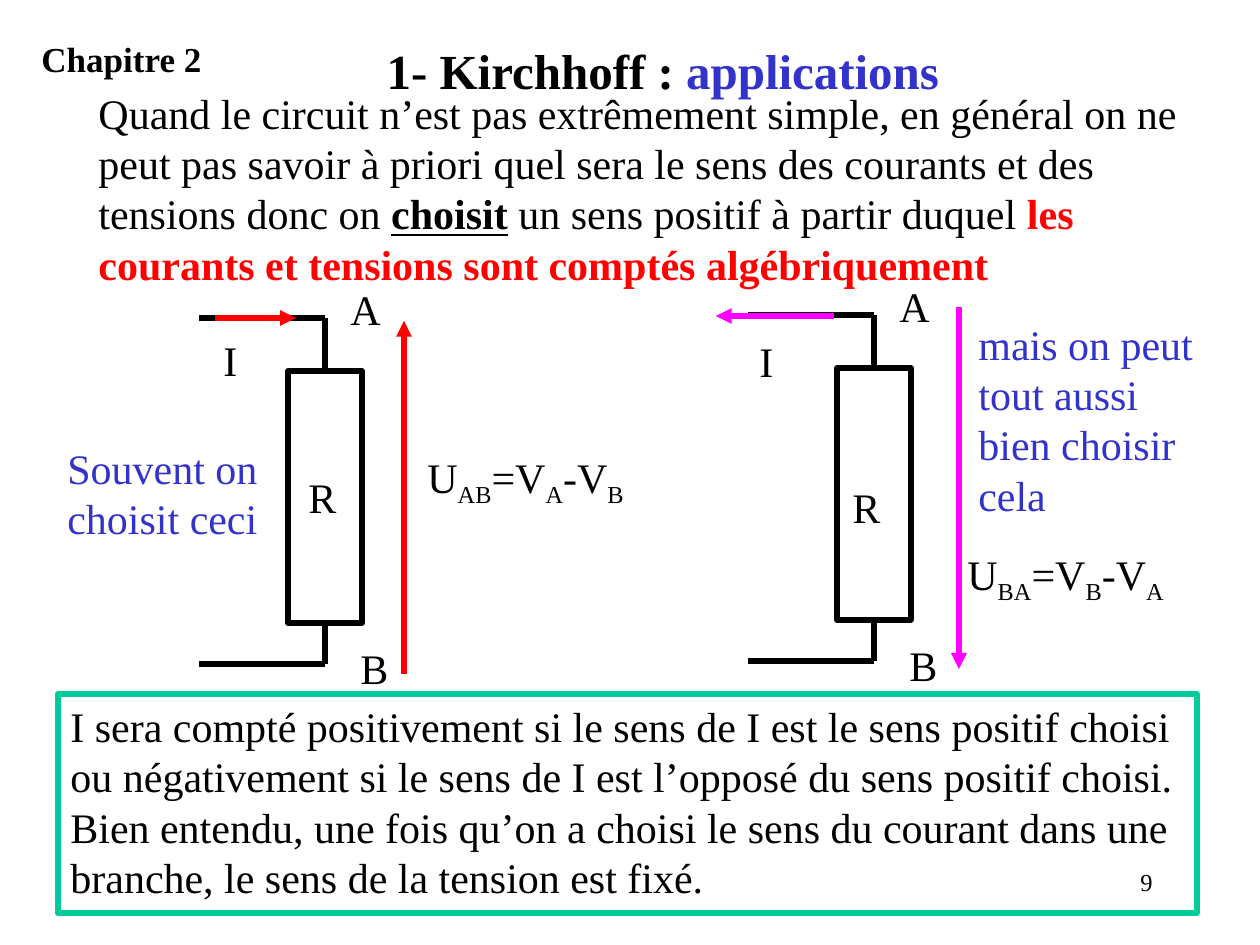
from pptx import Presentation
from pptx.dml.color import RGBColor as Rgb
from pptx.enum.shapes import MSO_CONNECTOR as Link, MSO_SHAPE as Form
from pptx.enum.text import MSO_ANCHOR as Anchor, MSO_AUTO_SIZE as Fit, PP_ALIGN as Align
from pptx.oxml.ns import qn
from pptx.util import Emu, Pt
from lxml.etree import SubElement as Sub

HUES = {"ink": "000000", "paper": "FFFFFF", "blue": "3333CC", "red": "FF0000",
        "pink": "FF00FF", "green": "00CC99"}
FACE = "Times New Roman"


def px(*nums):
    return [Emu(round(n * 914400 / 126)) for n in nums]


def hue(name):
    return Rgb.from_string(HUES[name])


class Board:
    def __init__(self, deck):
        self.slide = deck.slides.add_slide(deck.slide_layouts[5])
        self.shapes = self.slide.shapes

    def label(self, shape, paras, size=24, tint="ink", bold=False, align=Align.LEFT, wrap=True):
        frame = shape.text_frame
        frame.word_wrap = wrap
        frame.auto_size = Fit.NONE
        frame.vertical_anchor = Anchor.TOP
        for i, runs in enumerate(paras):
            para = frame.add_paragraph() if i else frame.paragraphs[0]
            para.alignment = align
            font = para.font
            font.name, font.size, font.bold = FACE, Pt(size), bold
            font.color.rgb = hue(tint)
            for text, look in runs:
                run = para.add_run()
                run.text = text
                if "tint" in look:
                    run.font.color.rgb = hue(look["tint"])
                if "bold" in look:
                    run.font.bold = True
                if "line" in look:
                    run.font.underline = True
                if "sub" in look:
                    run.font._element.set("baseline", "-25000")

    def title(self, box, runs, **style):
        shape = self.shapes.title
        shape.left, shape.top, shape.width, shape.height = px(*box)
        self.label(shape, [runs], align=Align.CENTER, **style)

    def text(self, box, *runs, **style):
        runs = [(r, {}) if isinstance(r, str) else r for r in runs]
        self.label(self.shapes.add_textbox(*px(*box)), [runs], **style)

    def rect(self, box, line, fill=None):
        shape = self.shapes.add_shape(Form.RECTANGLE, *px(*box))
        shape.shadow.inherit = False
        if fill:
            shape.fill.solid()
            shape.fill.fore_color.rgb = hue(fill)
        else:
            shape.fill.background()
        shape.line.color.rgb = hue(line)
        shape.line.width = Pt(3)
        return shape

    def wire(self, ends, tint="ink", head=False):
        line = self.shapes.add_connector(Link.STRAIGHT, *px(*ends))
        line.line.color.rgb = hue(tint)
        line.line.width = Pt(3)
        props = line._element.spPr
        if head:
            Sub(props.find(qn("a:ln")), qn("a:tailEnd"), type="triangle")
        Sub(props, qn("a:effectLst"))
        return line

    def branch(self, x, y):
        mid, low = x + 126, y + 346
        body = self.rect((x + 89, y + 53, 74, 252), "ink", "paper")
        for level, edge, site in ((y, y + 53, 0), (low, y + 305, 2)):
            self.wire((x, level, mid, level))
            self.wire((mid, edge, mid, level)).begin_connect(body, site)
        self.text((x + 139, y - 41, 55, 63), "A", wrap=False)
        self.text((x + 149, y + 318, 53, 63), "B", wrap=False)

    def drop(self, x, y, start, end):
        parts = ("U", start + end, "=V", start, "-V", end)
        runs = [(t, {"sub": True} if i % 2 else {}) for i, t in enumerate(parts)]
        self.text((x, y, 232, 63), *runs, wrap=False)


def main():
    deck = Presentation()
    deck.slide_width, deck.slide_height = px(1260, 945)
    board = Board(deck)

    board.title((112, 34, 1114, 72),
                [("1- Kirchhoff : ", {}), ("applications ", {"tint": "blue"})],
                size=28, bold=True)
    board.text((29, 31, 358, 54), "Chapitre 2", size=20, bold=True)
    board.text((86, 81, 1114, 214),
               "Quand le circuit n’est pas extrêmement simple, en général on ne peut pas savoir "
               "à priori quel sera le sens des courants et des tensions donc on ",
               ("choisit", {"bold": True, "line": True}),
               " un sens positif à partir duquel ",
               ("les courants et tensions sont comptés algébriquement",
                {"bold": True, "tint": "red"}))

    board.branch(199, 318)
    board.text((55, 436, 228, 113), "Souvent on choisit ceci", tint="blue")
    board.text((211, 328, 39, 63), "I", wrap=False)
    board.text((296, 465, 55, 63), "R")
    board.wire((215, 318, 296, 318), "red", True)
    board.wire((404, 674, 404, 321), "red", True)
    board.drop(415, 445, "A", "B")

    board.branch(748, 315)
    board.text((966, 312, 260, 214), "mais on peut tout aussi bien choisir cela", tint="blue")
    board.text((747, 329, 39, 63), "I", wrap=False)
    board.text((840, 475, 63, 63), "R")
    board.wire((834, 316, 716, 316), "pink", True)
    board.wire((959, 307, 959, 669), "pink", True)
    board.drop(955, 542, "B", "A")

    rule = board.rect((58, 694, 1139, 219), "green")
    lines = ("I sera compté positivement si le sens de I est le sens positif choisi",
             "ou négativement si le sens de I est l’opposé du sens positif choisi.",
             "Bien entendu, une fois qu’on a choisi le sens du courant dans une branche, "
             "le sens de la tension est fixé.")
    board.label(rule, [[(line, {})] for line in lines])
    board.text((903, 861, 262, 63), "9", size=14, align=Align.RIGHT)
    deck.save("out.pptx")


if __name__ == "__main__":
    main()
